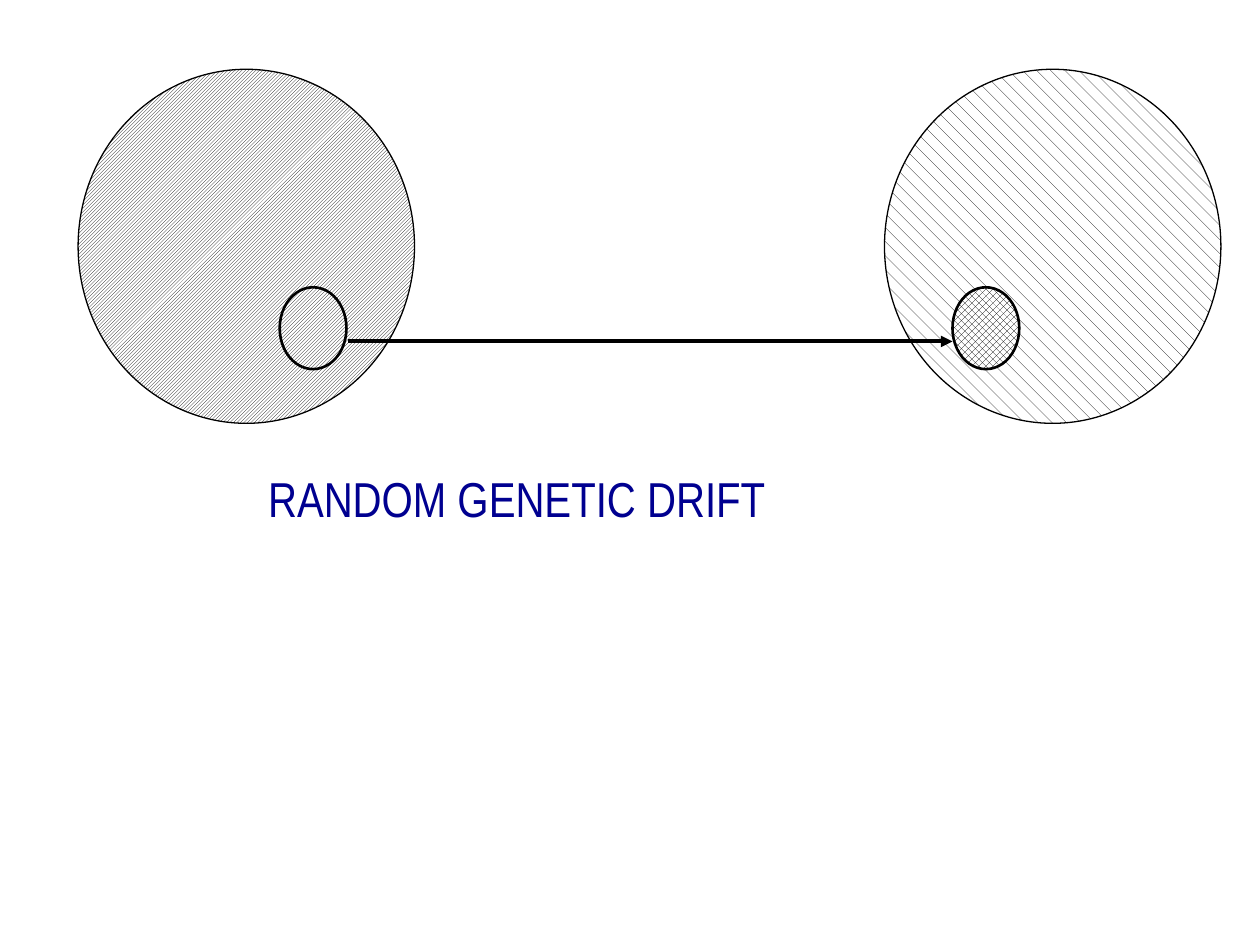
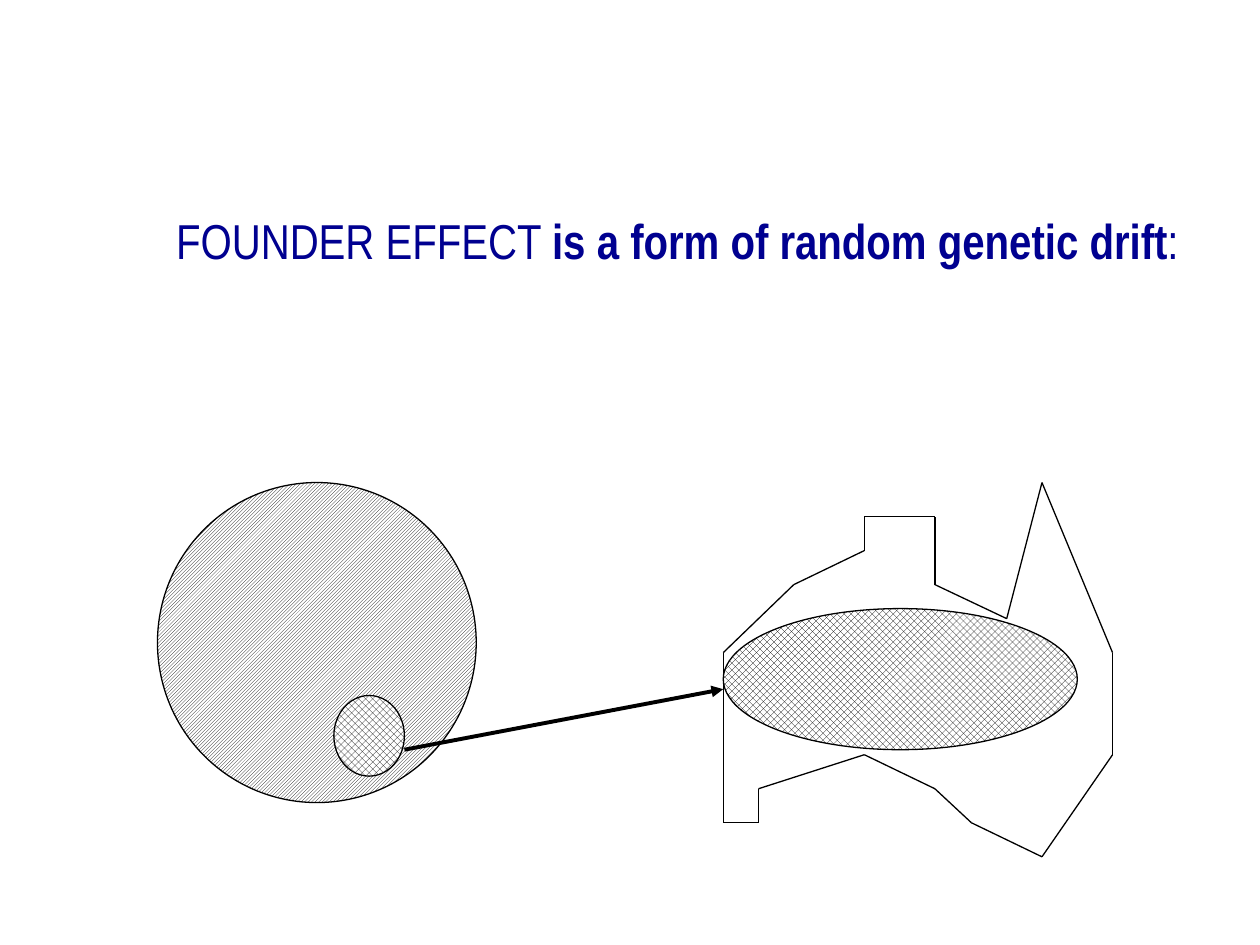
from dataclasses import dataclass
from itertools import pairwise

from lxml import etree
from pptx import Presentation
from pptx import util as u
from pptx.dml.color import RGBColor
from pptx.enum import dml, shapes, text
from pptx.oxml import ns
from pptx.slide import Slide

Point = tuple[float, float]


@dataclass(frozen=True)
class Theme:
    ink: RGBColor = RGBColor(0x00, 0x00, 0x00)
    paper: RGBColor = RGBColor(0xFF, 0xFF, 0xFF)
    title: RGBColor = RGBColor(0x00, 0x00, 0x90)
    font: str = "Arial Narrow"
    title_size: float = 28
    thin: float = 0.75
    medium: float = 1.5
    thick: float = 2.25
    source: dml.MSO_PATTERN = dml.MSO_PATTERN.LIGHT_UPWARD_DIAGONAL
    target: dml.MSO_PATTERN = dml.MSO_PATTERN.SHINGLE
    founders: dml.MSO_PATTERN = dml.MSO_PATTERN.LARGE_CHECKER_BOARD


THEME = Theme()


@dataclass(frozen=True)
class Population:
    left: float
    top: float
    width: float
    height: float
    pattern: dml.MSO_PATTERN
    weight: float = THEME.thin


@dataclass(frozen=True)
class Run:
    words: str
    bold: bool = False


@dataclass(frozen=True)
class Title:
    left: float
    top: float
    width: float
    runs: tuple[Run, ...]


@dataclass(frozen=True)
class Migration:
    start: Point
    end: Point


@dataclass(frozen=True)
class Diagram:
    populations: tuple[Population, ...]
    migration: Migration
    title: Title
    coast: tuple[Point, ...] = ()


DRIFT = Diagram(
    populations=(
        Population(0.62, 0.55, 2.67, 2.81, THEME.source),
        Population(2.22, 2.28, 0.53, 0.65, THEME.source, THEME.medium),
        Population(7.02, 0.55, 2.67, 2.81, THEME.target),
        Population(7.56, 2.28, 0.53, 0.65, THEME.founders, THEME.medium),
    ),
    migration=Migration((2.76, 2.71), (7.56, 2.71)),
    title=Title(2.03, 3.67, 5.23, (Run("RANDOM GENETIC DRIFT"),)),
)

FOUNDER = Diagram(
    populations=(
        Population(1.25, 3.83, 2.53, 2.54, THEME.source),
        Population(2.65, 5.52, 0.56, 0.64, THEME.founders),
        Population(5.74, 4.83, 2.81, 1.12, THEME.founders),
    ),
    migration=Migration((3.21, 5.95), (5.74, 5.47)),
    title=Title(1.3, 1.62, 8.27, (
        Run("FOUNDER EFFECT "),
        Run("is a form of random genetic drift", bold=True),
        Run(":"),
    )),
    coast=(
        (6.86, 4.1), (6.86, 4.37), (6.3, 4.64), (5.74, 5.18), (5.74, 6.53),
        (6.02, 6.53), (6.02, 6.26), (6.86, 5.99), (7.42, 6.26), (7.71, 6.53),
        (8.27, 6.8), (8.83, 5.99), (8.83, 5.18), (8.27, 3.83), (7.99, 4.91),
        (7.42, 4.64), (7.42, 4.1), (6.86, 4.1),
    ),
)


def draw_population(s: Slide, pop: Population) -> None:
    box = map(u.Inches, (pop.left, pop.top, pop.width, pop.height))
    sp = s.shapes.add_shape(shapes.MSO_SHAPE.OVAL, *box)
    sp.shadow.inherit = False
    sp.fill.patterned()
    sp.fill.pattern = pop.pattern
    sp.fill.fore_color.rgb = THEME.ink
    sp.fill.back_color.rgb = THEME.paper
    sp.line.color.rgb = THEME.ink
    sp.line.width = u.Pt(pop.weight)


def draw_line(s: Slide, start: Point, end: Point, weight: float, arrow: bool = False) -> None:
    ends = map(u.Inches, (*start, *end))
    cxn = s.shapes.add_connector(shapes.MSO_CONNECTOR.STRAIGHT, *ends)
    cxn.line.color.rgb = THEME.ink
    cxn.line.width = u.Pt(weight)
    sp_pr = cxn._element.spPr
    if arrow:
        etree.SubElement(sp_pr.find(ns.qn("a:ln")), ns.qn("a:tailEnd"), type="triangle")
    etree.SubElement(sp_pr, ns.qn("a:effectLst"))


def draw_title(s: Slide, title: Title) -> None:
    box = map(u.Inches, (title.left, title.top, title.width, 0.57))
    tf = s.shapes.add_textbox(*box).text_frame
    tf.word_wrap = True
    tf.auto_size = text.MSO_AUTO_SIZE.SHAPE_TO_FIT_TEXT
    p = tf.paragraphs[0]
    for run in title.runs:
        r = p.add_run()
        r.text = run.words
        r.font.name = THEME.font
        r.font.size = u.Pt(THEME.title_size)
        r.font.bold = run.bold
        r.font.color.rgb = THEME.title


def draw_diagram(s: Slide, diagram: Diagram) -> None:
    for start, end in pairwise(diagram.coast):
        draw_line(s, start, end, THEME.thin)
    for pop in diagram.populations:
        draw_population(s, pop)
    draw_line(s, diagram.migration.start, diagram.migration.end, THEME.thick, arrow=True)
    draw_title(s, diagram.title)


def main() -> None:
    prs = Presentation()
    prs.slide_width, prs.slide_height = u.Inches(10), u.Inches(7.5)
    for diagram in (DRIFT, FOUNDER):
        draw_diagram(prs.slides.add_slide(prs.slide_layouts[6]), diagram)
    prs.save("out.pptx")


if __name__ == "__main__":
    main()
